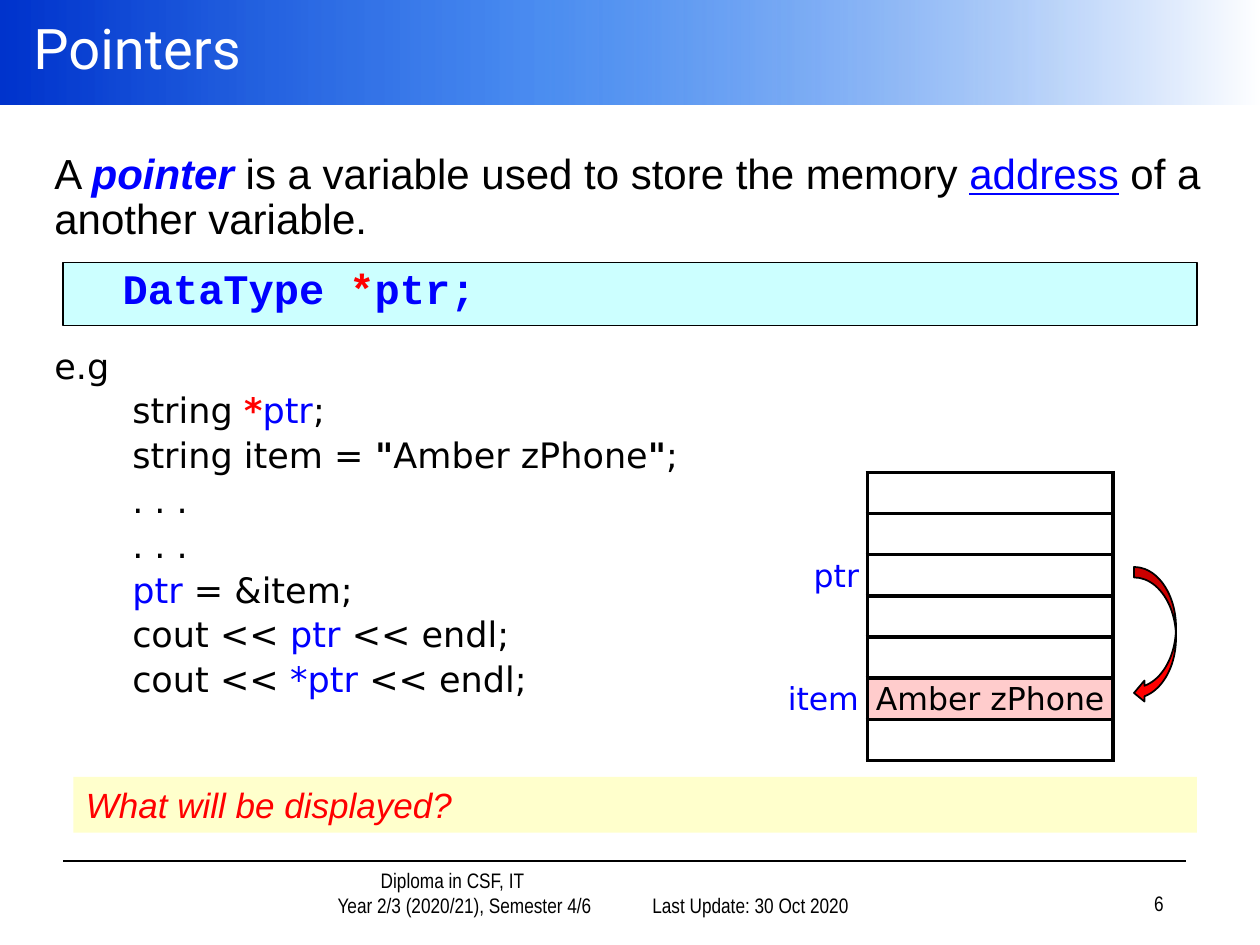
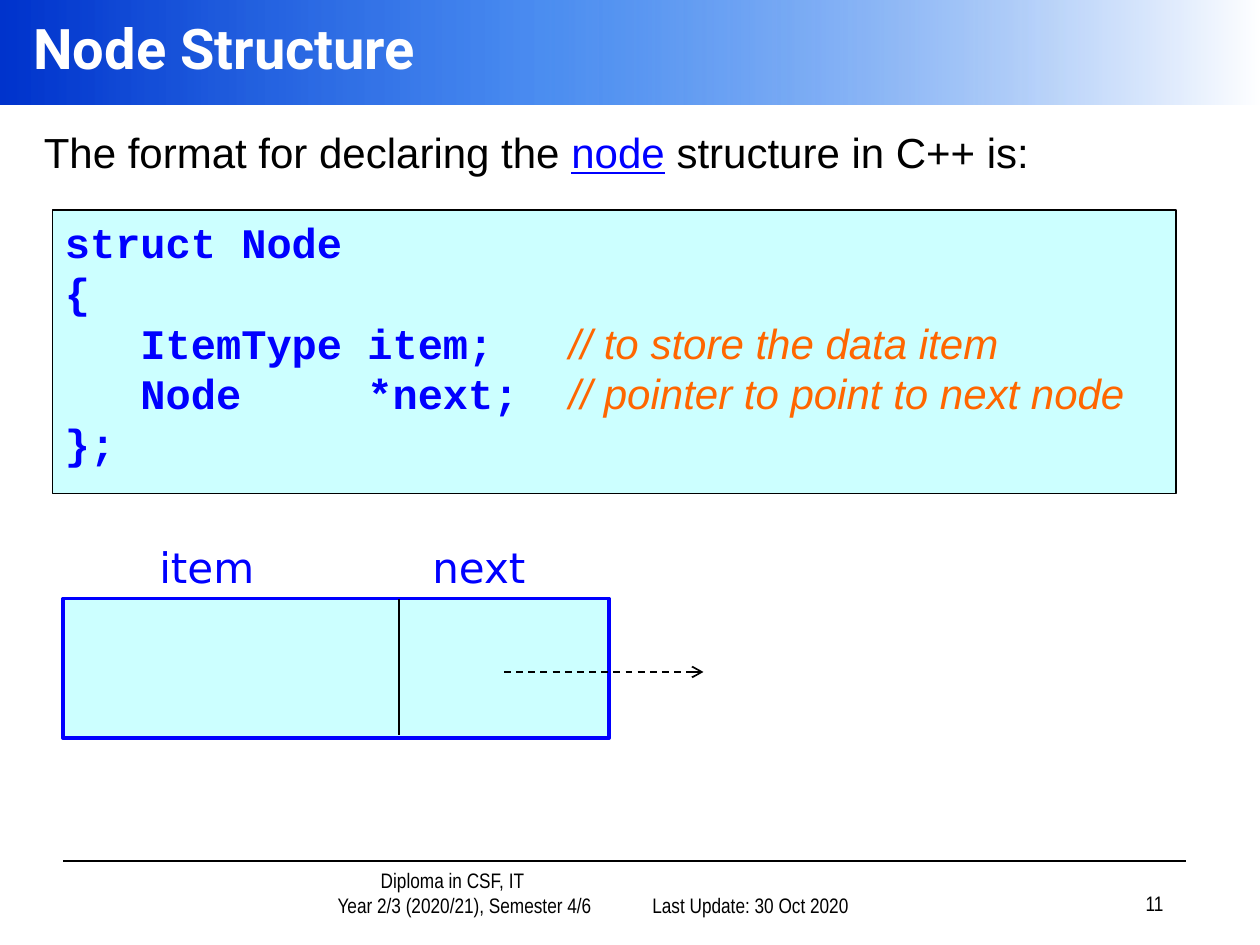
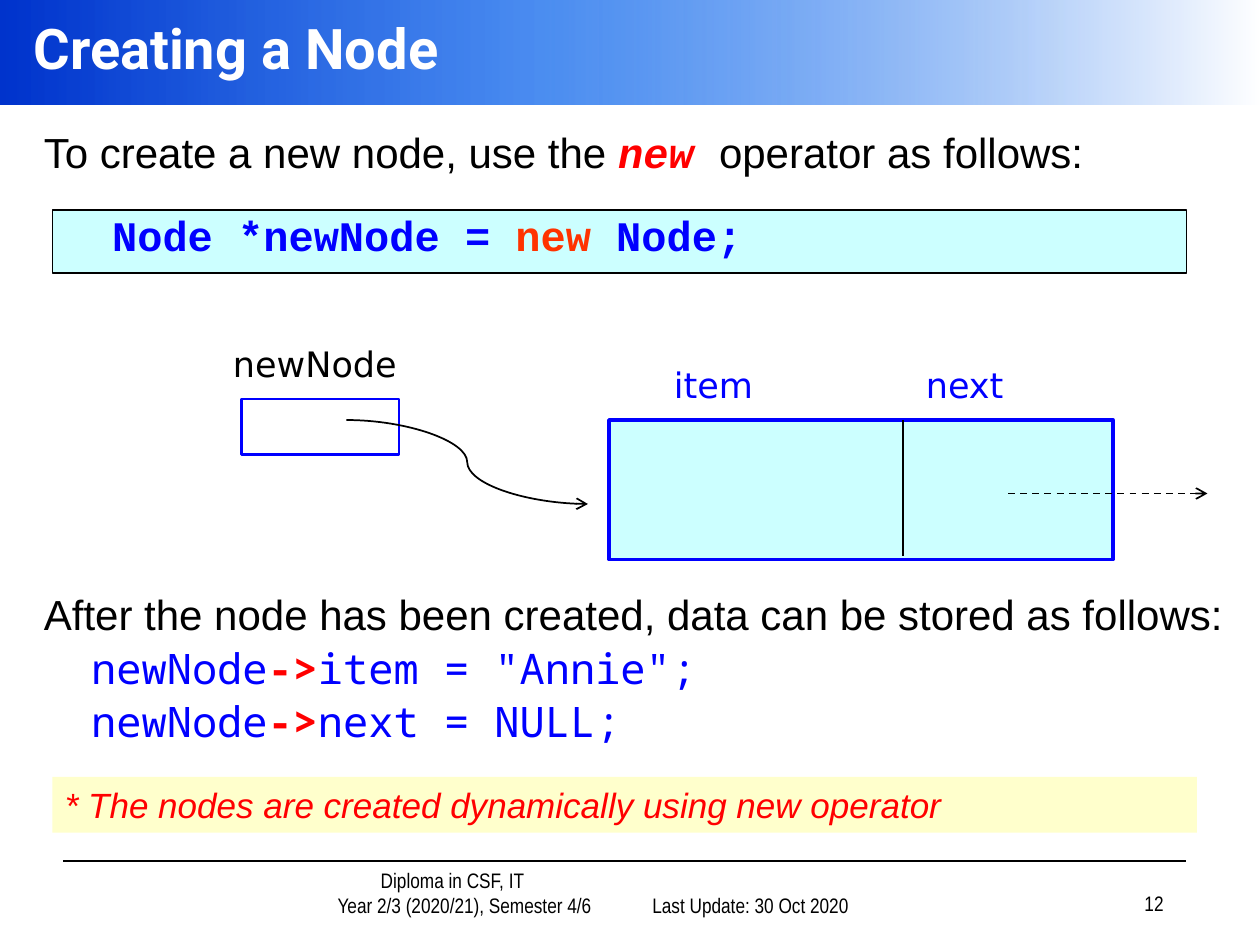
from dataclasses import dataclass

from lxml import etree
from pptx import Presentation
from pptx import util as u
from pptx.dml import color
from pptx.enum import dml, shapes, text
from pptx.oxml import parse_xml
from pptx.oxml import ns

PX = 7620
LEFT, CENTER, RIGHT = text.PP_ALIGN.LEFT, text.PP_ALIGN.CENTER, text.PP_ALIGN.RIGHT


@dataclass
class Style:
    font: str
    color: str
    bold: bool = False
    italic: bool = False
    underline: bool = False


@dataclass
class Para:
    spans: list
    size: float = 24
    gap: float = 0
    indent: int = 0
    spacing: float = 1.0
    align: int = LEFT


class Theme:
    black, white = "000000", "FFFFFF"
    blue, red = "0000FF", "FF0000"
    cyan, yellow, pink = "CCFFFF", "FFFFCC", "FFCCCC"
    band = ((0, "0033CC", 100), (43, "005EEB", 70), (100, "FFFFFF", 100))
    title, large, medium, cell, small = 32, 24, 20, 18, 12
    tight = 0.9
    styles = {
        "title": Style("Roboto", white),
        "bold title": Style("Roboto", white, bold=True),
        "footer": Style("Arial Narrow", black),
        "body": Style("Arial", black),
        "term": Style("Arial", blue, bold=True, italic=True),
        "link": Style("Arial", blue, underline=True),
        "note": Style("Arial", red, italic=True),
        "comment": Style("Arial", "FF6600", italic=True),
        "code": Style("Courier New", blue, bold=True),
        "star": Style("Courier New", red, bold=True),
        "operator": Style("Courier New", "FF3300", bold=True),
        "keyword": Style("Courier New", red, bold=True, italic=True),
        "plain": Style("DejaVu Sans", black),
        "quote": Style("DejaVu Sans", black, bold=True),
        "name": Style("DejaVu Sans", blue),
        "mark": Style("DejaVu Sans", red, bold=True),
        "mono": Style("Noto Sans Mono", blue),
        "arrow": Style("Noto Sans Mono", red, bold=True),
    }


FOOTER_LINES = (("Diploma in CSF, IT", 60), ("Year 2/3 (2020/21), Semester 4/6", 83))
UPDATED = "Last Update: 30 Oct 2020"

ITEM = "Amber zPhone"
POINTER_INTRO = [("A ", "body"), ("pointer", "term"),
                 (" is a variable used to store the memory ", "body"),
                 ("address", "link"), (" of a another variable.", "body")]
POINTER_SYNTAX = [("DataType ", "code"), ("*", "star"), ("ptr;", "code")]
POINTER_EXAMPLE = [
    [("e.g", "plain")],
    [("       string ", "plain"), ("*", "mark"), ("ptr", "name"), (";", "plain")],
    [("       string item = ", "plain"), ('"', "quote"), (ITEM, "plain"),
     ('"', "quote"), (";", "plain")],
    [("       . . .", "plain")],
    [("       . . .", "plain")],
    [("       ", "plain"), ("ptr", "name"), (" = &item;", "plain")],
    [("       cout << ", "plain"), ("ptr ", "name"), ("<< endl;", "plain")],
    [("       cout << ", "plain"), ("*ptr ", "name"), ("<< endl;", "plain")],
]
MEMORY = [("", ""), ("", ""), ("ptr", ""), ("", ""), ("", ""),
          ("item", ITEM), ("", "")]
POINTER_NOTE = "What will be displayed?"

NODE_INTRO = [("The format for declaring the ", "body"), ("node", "link"),
              (" structure in C++ is:", "body")]
NODE_CODE = [
    [("struct Node", "code")],
    [("{", "code")],
    [("   ItemType item;   ", "code"), ("// to store the data item", "comment")],
    [("   Node     *next;  ", "code"), ("// pointer to point to next node", "comment")],
    [("};", "code")],
]

CREATE_INTRO = [("To create a new node, use the ", "body"), ("new ", "keyword"),
                ("operator as follows:", "body")]
CREATE_SYNTAX = [("Node *newNode = ", "code"), ("new", "operator"), (" Node;", "code")]
STORE_INTRO = [("After the node has been created, data can be stored as follows:", "body")]
STORE_CODE = [
    [("newNode", "mono"), ("->", "arrow"), ('item = "Annie";', "mono")],
    [("newNode", "mono"), ("->", "arrow"), ("next = NULL;", "mono")],
]
CREATE_NOTE = "* The nodes are created dynamically using new operator"


def rgb(value):
    return color.RGBColor.from_string(value)


def px(*lengths):
    return [u.Emu(length * PX) for length in lengths]


def write(frame, paras, anchor=text.MSO_ANCHOR.TOP):
    frame.word_wrap = True
    frame.vertical_anchor = anchor
    for index, item in enumerate(paras):
        para = frame.add_paragraph() if index else frame.paragraphs[0]
        para.alignment = item.align
        para.line_spacing = item.spacing
        para.space_before = u.Pt(item.gap if index else 0)
        if item.indent:
            para._p.get_or_add_pPr().set("marL", str(item.indent * PX))
        for words, name in item.spans:
            style = Theme.styles[name]
            span = para.add_run()
            span.text = words
            span.font.name = style.font
            span.font.size = u.Pt(item.size)
            span.font.bold = style.bold
            span.font.italic = style.italic
            span.font.underline = style.underline
            span.font.color.rgb = rgb(style.color)


def add_text(page, place, paras, anchor=text.MSO_ANCHOR.TOP):
    box = page.shapes.add_textbox(*px(*place))
    write(box.text_frame, paras, anchor)


def add_box(page, place, fill=None, line=None, weight=1.0,
            kind=shapes.MSO_SHAPE.RECTANGLE):
    box = page.shapes.add_shape(kind, *px(*place))
    box.shadow.inherit = False
    if fill:
        box.fill.solid()
        box.fill.fore_color.rgb = rgb(fill)
    else:
        box.fill.background()
    if line:
        box.line.color.rgb = rgb(line)
        box.line.width = u.Pt(weight)
    else:
        box.line.fill.background()
    return box


def add_line(page, ends, arrow=False, dashed=False,
             kind=shapes.MSO_CONNECTOR.STRAIGHT):
    line = page.shapes.add_connector(kind, *px(*ends))
    line.line.color.rgb = rgb(Theme.black)
    line.line.width = u.Pt(1)
    if dashed:
        line.line.dash_style = dml.MSO_LINE.DASH
    if arrow:
        etree.SubElement(line.line._get_or_add_ln(), ns.qn("a:tailEnd"), type="arrow")
    etree.SubElement(line._element.spPr, ns.qn("a:effectLst"))


def add_band(page):
    band = add_box(page, (0, 0, 1200, 100))
    band.fill.gradient()
    band.fill.gradient_angle = 0
    stops = "".join(
        f'<a:gs pos="{at * 1000}"><a:srgbClr val="{tint}">'
        f'<a:alpha val="{alpha * 1000}"/></a:srgbClr></a:gs>'
        for at, tint, alpha in Theme.band)
    old = band._element.spPr.find(".//" + ns.qn("a:gsLst"))
    old.getparent().replace(
        old, parse_xml(f'<a:gsLst {ns.nsdecls("a")}>{stops}</a:gsLst>'))


def add_page(deck, title, style, number):
    page = deck.slides.add_slide(deck.slide_layouts[6])
    bottom, middle = text.MSO_ANCHOR.BOTTOM, text.MSO_ANCHOR.MIDDLE
    add_text(page, (202, 830, 398, 50),
             [Para([(words, "footer")], Theme.small, indent=indent, align=CENTER)
              for words, indent in FOOTER_LINES], bottom)
    add_line(page, (60, 820, 1130, 820))
    add_band(page)
    for place, words in (((570, 830, 250, 50), UPDATED),
                         ((870, 828, 250, 50), str(number))):
        add_text(page, place, [Para([(words, "footer")], Theme.small, align=RIGHT)], bottom)
    add_text(page, (20, 0, 1180, 90), [Para([(title, style)], Theme.title)], middle)
    return page


def add_syntax(page, left, top, spans):
    box = add_box(page, (left, top, 1080, 60), Theme.cyan, Theme.black, 0.75)
    box.text_frame.margin_top = 0
    write(box.text_frame, [Para(spans, indent=45)])


def add_note(page, left, words):
    box = add_box(page, (left, 740, 1140 - left, 53), Theme.yellow)
    write(box.text_frame, [Para([(words, "note")], Theme.medium)])


def add_label(page, left, top, words, size, style="name"):
    add_text(page, (left, top, 190, 53), [Para([(words, style)], size)])


def add_node(page, left, top, width, split, labels, size):
    divider = left + split
    add_box(page, (left, top, width, 133), Theme.cyan, Theme.blue, 2)
    add_line(page, (divider, top, divider, top + 130))
    for words, offset in labels:
        add_label(page, left + offset, top - 60, words, size)
    add_line(page, (divider + 100, top + 70, divider + 290, top + 70),
             arrow=True, dashed=True)


def add_borders(cell, sides):
    properties = cell._tc.get_or_add_tcPr()
    for side in sides:
        properties.append(parse_xml(
            f'<a:ln{side} {ns.nsdecls("a")} w="28575"><a:solidFill>'
            f'<a:srgbClr val="{Theme.black}"/></a:solidFill></a:ln{side}>'))


def add_memory(page):
    widths, height = (156, 234), 39
    frame = page.shapes.add_table(
        len(MEMORY), 2, *px(670, 450, sum(widths), height * len(MEMORY)))
    table = frame.table
    table.first_row = table.horz_banding = False
    for column, width in zip(table.columns, widths):
        column.width = u.Emu(width * PX)
    formats = (("R", "name", RIGHT), ("LRTB", "plain", CENTER))
    for row, entries in enumerate(MEMORY):
        table.rows[row].height = u.Emu(height * PX)
        for column, (words, (sides, style, align)) in enumerate(zip(entries, formats)):
            cell = table.cell(row, column)
            cell.margin_left = cell.margin_right = u.Emu(8 * PX)
            cell.margin_top = cell.margin_bottom = 0
            add_borders(cell, sides)
            if words and column:
                cell.fill.solid()
                cell.fill.fore_color.rgb = rgb(Theme.pink)
            else:
                cell.fill.background()
            if words:
                write(cell.text_frame,
                      [Para([(words, style)], Theme.cell, spacing=1.1, align=align)])
            else:
                cell.text_frame.paragraphs[0].font.size = u.Pt(Theme.small)


def build_pointers(deck):
    page = add_page(deck, "Pointers", "title", 6)
    example = [Para(spans, Theme.medium, 4 if index else 60, spacing=Theme.tight)
               for index, spans in enumerate(POINTER_EXAMPLE)]
    add_text(page, (40, 140, 1130, 600),
             [Para(POINTER_INTRO, spacing=Theme.tight)] + example)
    add_memory(page)
    add_box(page, (1080, 540, 40, 130), Theme.red, Theme.black,
            kind=shapes.MSO_SHAPE.CURVED_LEFT_ARROW)
    add_syntax(page, 60, 250, POINTER_SYNTAX)
    add_note(page, 70, POINTER_NOTE)


def build_structure(deck):
    page = add_page(deck, "Node Structure", "bold title", 11)
    add_text(page, (30, 120, 1150, 80), [Para(NODE_INTRO, spacing=Theme.tight)])
    add_node(page, 60, 570, 520, 320, (("item", 80), ("next", 340)), Theme.large)
    code = add_box(page, (50, 200, 1070, 270), Theme.cyan, Theme.black, 0.75)
    write(code.text_frame, [Para(spans) for spans in NODE_CODE])


def build_creation(deck):
    page = add_page(deck, "Creating a Node", "bold title", 12)
    add_text(page, (30, 120, 1130, 60), [Para(CREATE_INTRO, spacing=Theme.tight)])
    add_node(page, 580, 400, 480, 280, (("item", 50), ("next", 290)), Theme.medium)
    add_label(page, 210, 320, "newNode", Theme.medium, "plain")
    add_box(page, (230, 380, 150, 53), line=Theme.blue, weight=1.5)
    add_line(page, (330, 400, 560, 480), arrow=True, kind=shapes.MSO_CONNECTOR.CURVE)
    add_text(page, (30, 560, 1180, 160),
             [Para(STORE_INTRO, spacing=Theme.tight)]
             + [Para(spans, gap=4.8, indent=45, spacing=Theme.tight)
                for spans in STORE_CODE])
    add_syntax(page, 50, 200, CREATE_SYNTAX)
    add_note(page, 50, CREATE_NOTE)


def main():
    deck = Presentation()
    deck.slide_width, deck.slide_height = px(1200, 900)
    build_pointers(deck)
    build_structure(deck)
    build_creation(deck)
    deck.save("out.pptx")


if __name__ == "__main__":
    main()
